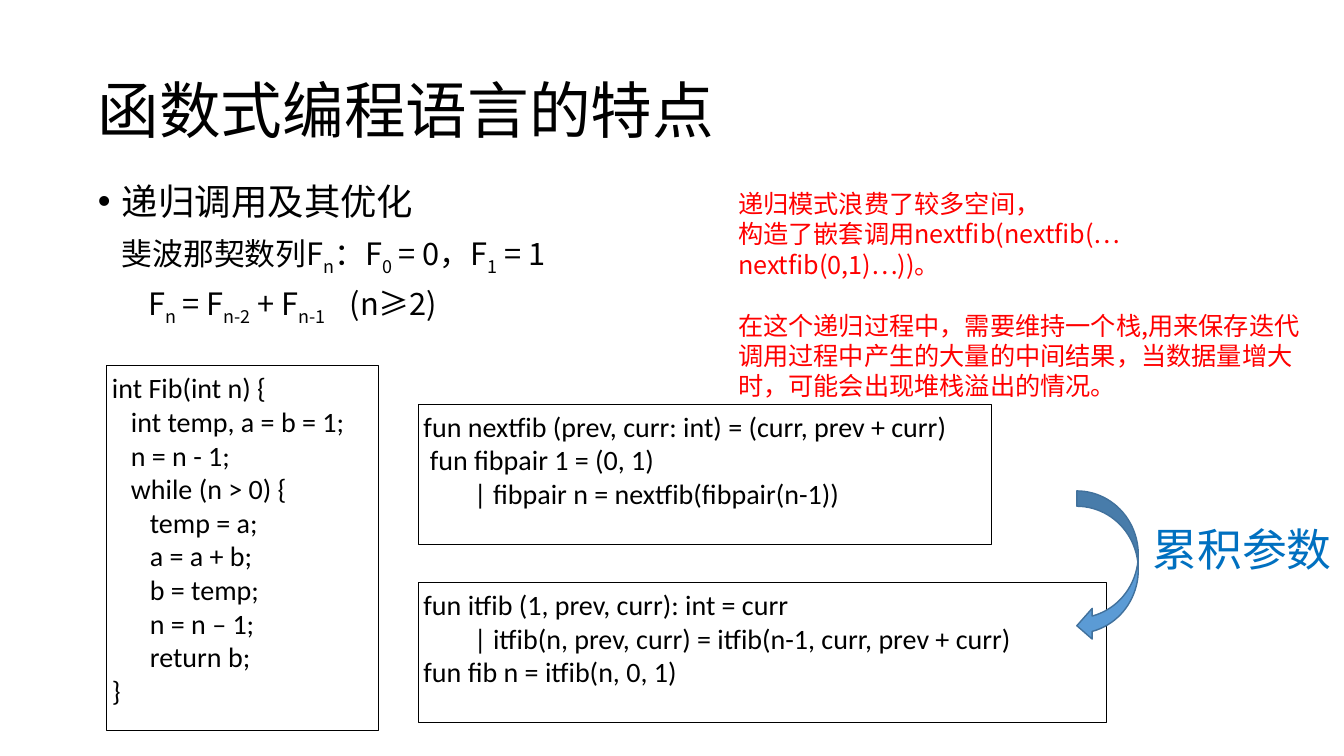
from pptx import Presentation
from pptx.dml.color import RGBColor as RGB
from pptx.enum.shapes import MSO_SHAPE as Shape
from pptx.enum.text import MSO_ANCHOR as Anchor, PP_ALIGN as Align
from pptx.oxml.ns import qn
from pptx.util import Inches, Pt
from lxml.etree import SubElement as Sub

HUES = {"ink": "000000", "red": "FF0000", "blue": "0070C0",
        "fill": "5B9BD5", "edge": "41719C"}
SANS, HAN, CODE = "Noto Sans CJK SC", "Noto Sans CJK JP", "Calibri"


class Page:
    def __init__(self, slide):
        self.slide = slide

    def hue(self, name):
        return RGB.from_string(HUES[name])

    def frame(self, shape, anchor=Anchor.TOP):
        """Set wrap, anchor and equal insets, and return the text frame."""
        tf = shape.text_frame
        tf.word_wrap, tf.vertical_anchor = True, anchor
        tf.margin_left = tf.margin_right = Inches(0.05)
        tf.margin_top = tf.margin_bottom = Inches(0.05)
        return tf

    def box(self, at, anchor=Anchor.TOP):
        shape = self.slide.shapes.add_textbox(*map(Inches, at))
        return self.frame(shape, anchor)

    def para(self, tf, text, size, font, hue="ink", lead=None, gap=0,
             left=0, bullet=False, tabs=()):
        """Add a paragraph; parts between ~ marks are subscripts."""
        first = not tf.paragraphs[0].runs
        par = tf.paragraphs[0] if first else tf.add_paragraph()
        props = par._p.get_or_add_pPr()
        props.set("marL", str(Inches(left)))
        props.set("indent", str(-Inches(left) if bullet else 0))
        par.alignment = Align.LEFT
        if lead:
            par.line_spacing = lead
        if not first:
            par.space_before = Pt(gap)
        if bullet:
            Sub(props, qn("a:buFont"), typeface="Arial")
            Sub(props, qn("a:buChar"), char="•")
        if tabs:
            stops = Sub(props, qn("a:tabLst"))
            for pos in tabs:
                Sub(stops, qn("a:tab"), pos=str(Inches(pos)), algn="l")
        for i, part in enumerate(text.split("~")):
            run = par.add_run()
            run.text = part
            run.font.size, run.font.name = Pt(size), font
            run.font.color.rgb = self.hue(hue)
            mark = run._r.get_or_add_rPr()
            Sub(mark, qn("a:ea"), typeface=font)
            if i % 2:
                mark.set("baseline", "-25000")

    def code(self, at, text):
        shape = self.slide.shapes.add_shape(Shape.RECTANGLE, *map(Inches, at))
        shape.shadow.inherit = False
        shape.fill.background()
        shape.line.color.rgb = self.hue("ink")
        shape.line.width = Pt(0.75)
        tf = self.frame(shape)
        for line in text.split("\n"):
            self.para(tf, line, 20, CODE)

    def arrow(self, at):
        shape = self.slide.shapes.add_shape(
            Shape.CURVED_LEFT_ARROW, *map(Inches, at))
        shape.shadow.inherit = False
        shape.fill.solid()
        shape.fill.fore_color.rgb = self.hue("fill")
        shape.line.color.rgb = self.hue("edge")
        shape.line.width = Pt(1)


LOOP = """int Fib(int n) {
   int temp, a = b = 1;
   n = n - 1;
   while (n > 0) {
      temp = a;
      a = a + b;
      b = temp;
      n = n – 1;
      return b;
}"""
PAIR = """fun nextfib (prev, curr: int) = (curr, prev + curr)
 fun fibpair 1 = (0, 1)
\t| fibpair n = nextfib(fibpair(n-1))"""
ITER = """fun itfib (1, prev, curr): int = curr
\t| itfib(n, prev, curr) = itfib(n-1, curr, prev + curr)
fun fib n = itfib(n, 0, 1)"""
NOTES = [
    ("递归模式浪费了较多空间，", 0),
    ("构造了嵌套调用nextfib(nextfib(…nextfib(0,1)…))。", 0),
    ("在这个递归过程中，需要维持一个栈,用来保存迭代调用过程中产生的"
     "大量的中间结果，当数据量增大时，可能会出现堆栈溢出的情况。", 22),
]


def main():
    deck = Presentation()
    deck.slide_width, deck.slide_height = Inches(13.33), Inches(7.5)
    page = Page(deck.slides.add_slide(deck.slide_layouts[6]))

    title = page.box((0.92, 0.4, 11.5, 1.45), Anchor.MIDDLE)
    page.para(title, "函数式编程语言的特点", 44, SANS, lead=0.9)

    body = page.box((0.92, 1.51, 11.5, 2.02))
    page.para(body, "递归调用及其优化", 26, SANS, lead=1.5,
              left=0.24, bullet=True)
    page.para(body, "斐波那契数列F~n~：F~0~ = 0，F~1~ = 1", 22, SANS,
              lead=0.9, gap=9, left=0.24)
    page.para(body, "\tF~n~ = F~n-2~ + F~n-1~\t(n≥2)", 22, SANS,
              lead=0.9, gap=9, tabs=(2.34, 4.99))

    page.code((1.06, 3.63, 2.69, 3.62), LOOP)
    page.code((4.15, 4.01, 5.68, 1.39), PAIR)
    page.code((4.15, 5.78, 6.83, 1.39), ITER)

    notes = page.box((7.27, 1.82, 5.74, 1.92))
    for text, gap in NOTES:
        page.para(notes, text, 18, HAN, "red", gap=gap)

    page.arrow((10.68, 4.87, 0.61, 1.49))
    label = page.box((11.38, 5.13, 1.95, 0.64))
    page.para(label, "累积参数", 32, HAN, "blue")

    deck.save("out.pptx")


if __name__ == "__main__":
    main()
